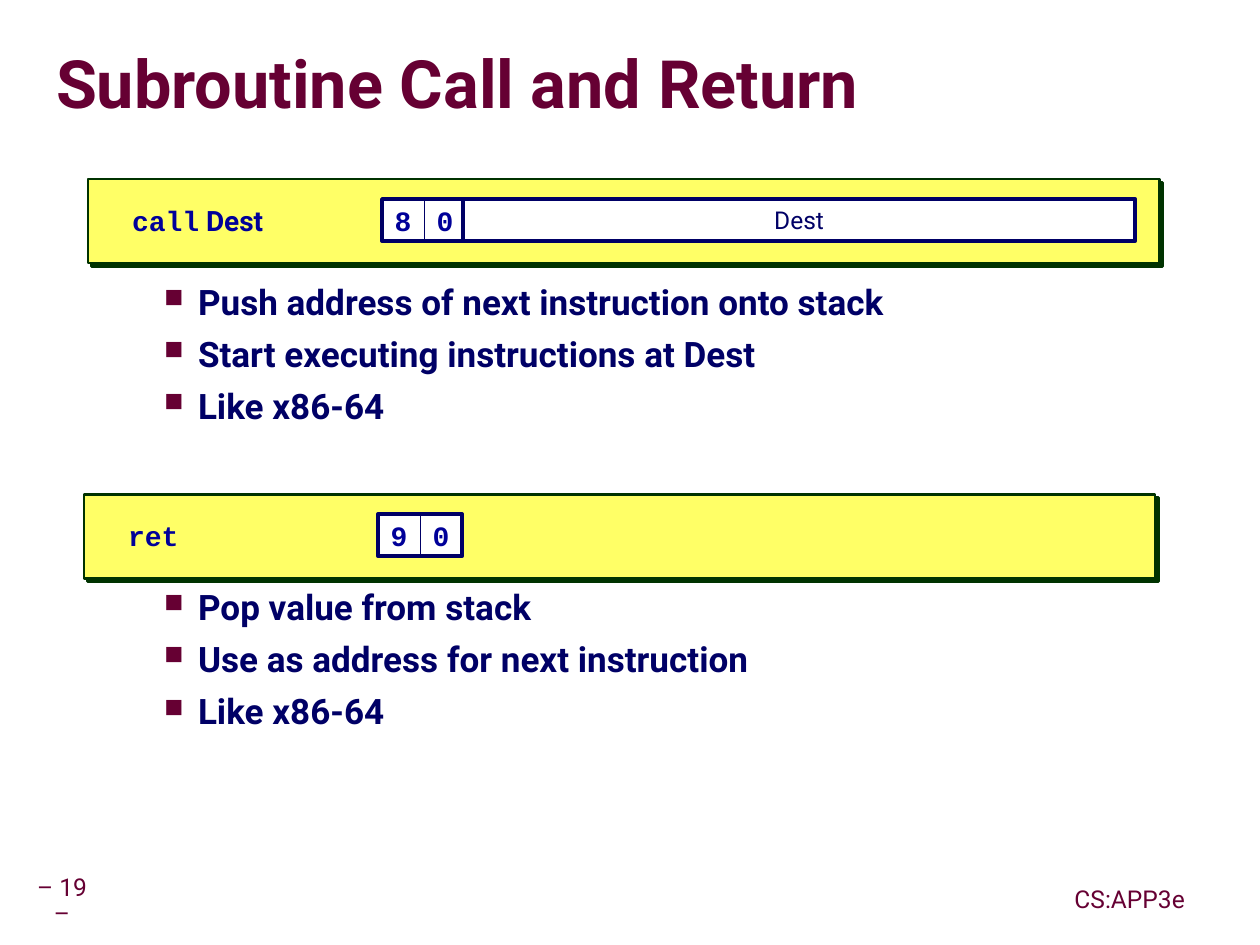
from lxml import etree
from pptx import Presentation
from pptx import util as u
from pptx.dml.color import RGBColor
from pptx.enum import shapes, text
from pptx.oxml import ns

PX = 914400 / 126.1
COLORS = {
    "maroon": "660033", "navy": "000066", "code": "000099",
    "bar": "FFFF66", "edge": "003300", "white": "FFFFFF", "gray": "969696",
}
SANS, MONO = "Roboto", "Courier New"
CELL = 42


def px(*lengths):
    return [u.Emu(round(length * PX)) for length in lengths]


def color(name):
    return RGBColor.from_string(COLORS[name])


def format_span(span, size, hue, face=SANS, bold=False):
    span.font.size = u.Pt(size)
    span.font.name = face
    span.font.bold = bold
    span.font.color.rgb = color(hue)


def set_frame(frame, inset, wrap=True, anchor=text.MSO_ANCHOR.MIDDLE):
    frame.margin_left = frame.margin_right = px(inset)[0]
    frame.margin_top = frame.margin_bottom = px(inset // 2)[0]
    frame.word_wrap = wrap
    frame.vertical_anchor = anchor


def shadow_effect(hue, points):
    effects = etree.Element(ns.qn("a:effectLst"))
    shadow = etree.SubElement(effects, ns.qn("a:outerShdw"),
                              dist=str(u.Pt(points)), dir="2700000", algn="ctr", rotWithShape="0")
    etree.SubElement(shadow, ns.qn("a:srgbClr"), val=COLORS[hue])
    return effects


def add_text(page, place, words, size, hue, inset=0, bold=False, align=None, spacing=None):
    box = page.shapes.add_textbox(*px(*place))
    set_frame(box.text_frame, inset)
    box.text_frame.text = words
    para = box.text_frame.paragraphs[0]
    para.alignment = align
    para.line_spacing = spacing
    format_span(para.runs[0], size, hue, bold=bold)
    return para.runs[0]


def add_title(page, words):
    span = add_text(page, (56, 34, 1200, 107), words, 38, "maroon", bold=True, spacing=0.87)
    fill = span.font._element.find(ns.qn("a:solidFill"))
    fill.addnext(shadow_effect("gray", 2.8))


def add_rect(parent, place, fill, edge, weight):
    box = parent.shapes.add_shape(shapes.MSO_SHAPE.RECTANGLE, *px(*place))
    box.shadow.inherit = False
    if fill:
        box.fill.solid()
        box.fill.fore_color.rgb = color(fill)
    else:
        box.fill.background()
    box.line.color.rgb = color(edge)
    box.line.width = u.Pt(weight)
    return box


def add_field(parent, place, words, weight, size, hue, face, bold):
    box = add_rect(parent, place, "white", "navy", weight)
    set_frame(box.text_frame, 0, wrap=False)
    box.text_frame.text = words
    para = box.text_frame.paragraphs[0]
    para.alignment = text.PP_ALIGN.CENTER
    format_span(para.runs[0], size, hue, face, bold)


def add_instruction(page, left, top, name, digits, operand=None):
    bar = add_rect(page, (left, top, 1071, 84), "bar", "edge", 1.5)
    properties = bar._element.spPr
    properties.replace(properties.find(ns.qn("a:effectLst")), shadow_effect("edge", 2.8))
    row = top + 20

    label = page.shapes.add_textbox(*px(left + 32, row, 262, CELL))
    set_frame(label.text_frame, 12)
    para = label.text_frame.paragraphs[0]
    for words, face in ((name, MONO), (operand and f" {operand}", SANS)):
        if words:
            span = para.add_run()
            span.text = words
            format_span(span, 16, "code", face, True)

    start = left + 294
    group = page.shapes.add_group_shape()
    for index, digit in enumerate(digits):
        add_field(group, (start + index * CELL, row, CELL, CELL), digit, 0.5, 16, "code", MONO, True)
    add_rect(group, (start, row, CELL * len(digits), CELL), None, "navy", 2.25)
    if operand:
        add_field(page, (left + 375, row, 672, CELL), operand, 2.25, 14, "navy", SANS, False)


def add_bullets(page, top, lines):
    box = page.shapes.add_textbox(*px(84, top, 1062, 164))
    set_frame(box.text_frame, 12, anchor=text.MSO_ANCHOR.TOP)
    box.text_frame.text = "\n".join(lines)
    for index, para in enumerate(box.text_frame.paragraphs):
        properties = para._p.get_or_add_pPr()
        hang, indent = px(102, -34)
        properties.set("marL", str(hang))
        properties.set("indent", str(indent))
        hue = etree.SubElement(properties, ns.qn("a:buClr"))
        etree.SubElement(hue, ns.qn("a:srgbClr"), val=COLORS["maroon"])
        etree.SubElement(properties, ns.qn("a:buSzPct"), val="75000")
        etree.SubElement(properties, ns.qn("a:buChar"), char="■")
        para.space_before = u.Pt(5.8 if index else 0)
        format_span(para.runs[0], 20, "navy", bold=True)


def main():
    deck = Presentation()
    deck.slide_width, deck.slide_height = u.Inches(9.99), u.Inches(7.49)
    page = deck.slides.add_slide(deck.slide_layouts[6])

    center = text.PP_ALIGN.CENTER
    add_text(page, (32, 881, 60, 40), "– 19 –", 14, "maroon", 2, align=center, spacing=0.9)
    add_text(page, (1064, 880, 131, 40), "CS:APP3e", 14, "maroon", 6, align=center, spacing=0.9)
    add_title(page, "Subroutine Call and Return")

    add_bullets(page, 274, ["Push address of next instruction onto stack",
                            "Start executing instructions at Dest",
                            "Like x86-64"])
    add_bullets(page, 579, ["Pop value from stack",
                            "Use as address for next instruction",
                            "Like x86-64"])
    add_instruction(page, 88, 179, "call", "80", "Dest")
    add_instruction(page, 84, 494, "ret", "90")

    deck.save("out.pptx")


if __name__ == "__main__":
    main()
